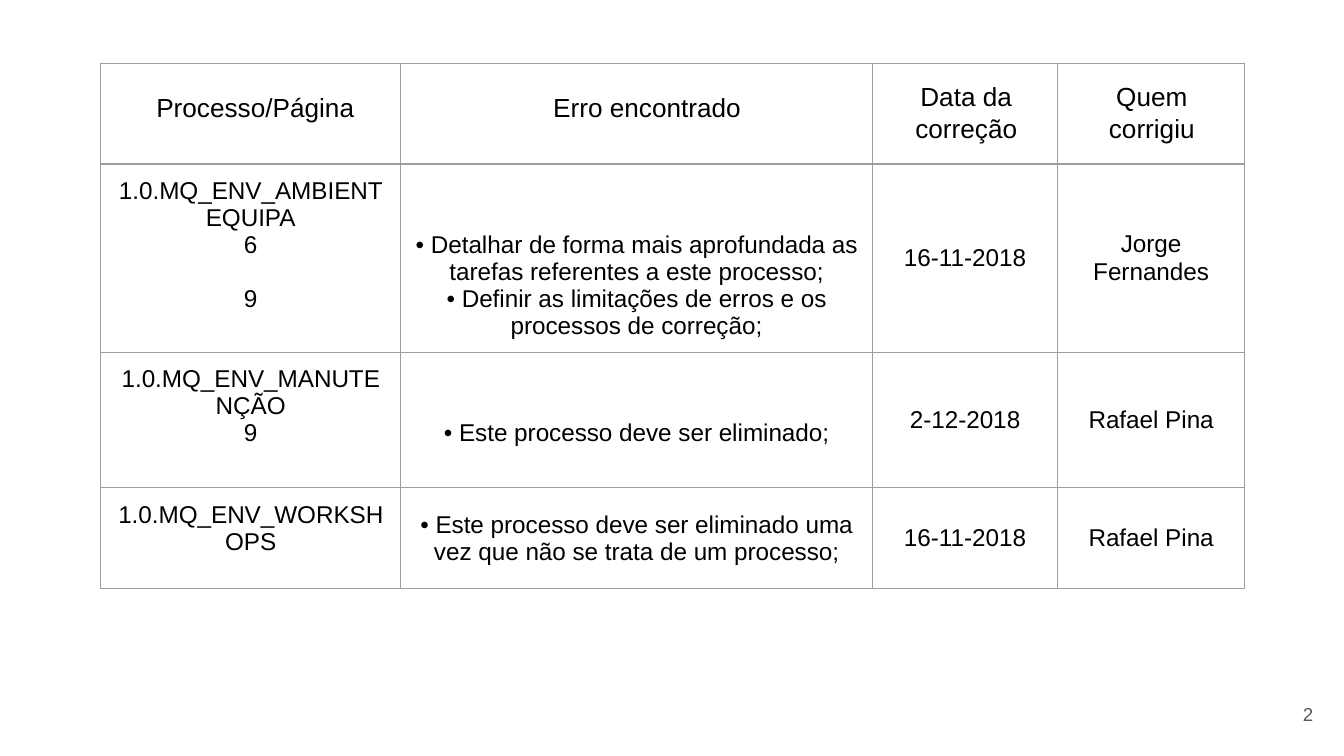
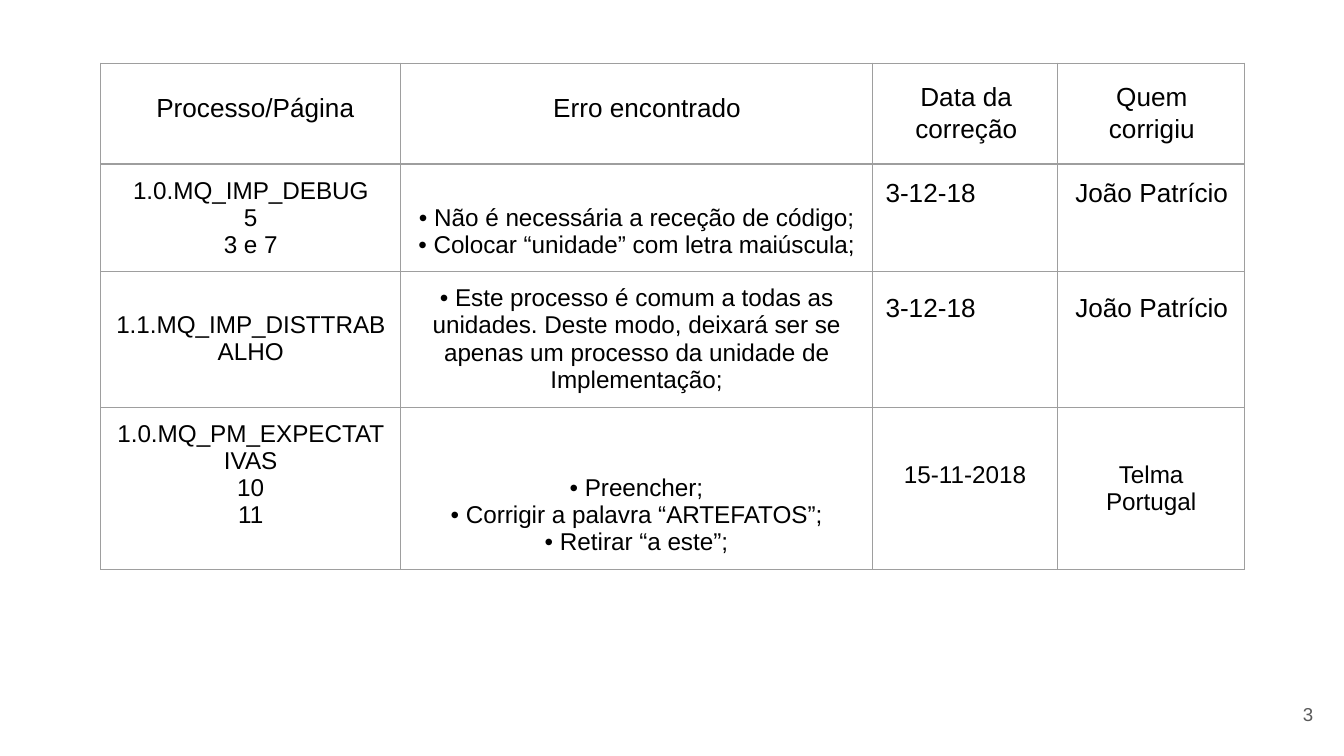
from dataclasses import dataclass

from lxml import etree
from pptx import Presentation
from pptx.dml.color import RGBColor
from pptx.enum.text import MSO_ANCHOR, PP_ALIGN
from pptx.oxml.ns import qn
from pptx.util import Inches, Pt

LEFT, CENTER, RIGHT = PP_ALIGN.LEFT, PP_ALIGN.CENTER, PP_ALIGN.RIGHT
TOP, MIDDLE = MSO_ANCHOR.TOP, MSO_ANCHOR.MIDDLE

BLACK = RGBColor(0x00, 0x00, 0x00)
GREY = RGBColor(0x59, 0x59, 0x59)
BORDER = RGBColor(0x9E, 0x9E, 0x9E)
FONT = "Arial"
INSET = 0.1
TIGHT = 0.03  # bottom inset of top-anchored cells, keeps rows from growing
LINE = 0.2  # height of one line of table text

TABLE_X, TABLE_Y = 0.75, 0.47
COLS = (2.23, 3.51, 1.38, 1.39)
HEADER_H = 0.75


@dataclass(frozen=True)
class Label:
    text: str
    x: float
    y: float
    w: float
    h: float
    size: int = 14
    align: PP_ALIGN = CENTER
    color: RGBColor = BLACK
    anchor: MSO_ANCHOR = TOP


@dataclass(frozen=True)
class Entry:
    """Cell text; lead, tail and gap are counted in lines."""
    lines: tuple[str, ...]
    anchor: MSO_ANCHOR = MIDDLE
    lead: int = 0
    tail: int = 0
    gap: int = 0  # space before the last paragraph


@dataclass(frozen=True)
class Row:
    height: float
    entries: tuple[Entry, ...]


HEADERS = (
    Label("Processo/Página", 0.96, 0.58, 1.88, 0.66),
    Label("Quem corrigiu", 7.93, 0.5, 1.28, 0.66),
    Label("Data da correção", 6.56, 0.5, 1.26, 0.66),
    Label("Erro encontrado", 3.57, 0.58, 2.49, 0.66),
)

ENV_ROWS = (
    Row(1.4, (
        Entry(("1.0.MQ_ENV_AMBIENTEQUIPA", "6", "9"), TOP, gap=1),
        Entry(("• Detalhar de forma mais aprofundada as tarefas referentes a este processo;",
               "• Definir as limitações de erros e os processos de correção;"), TOP, lead=2),
        Entry(("16-11-2018",)),
        Entry(("Jorge Fernandes",)),
    )),
    Row(1.01, (
        Entry(("1.0.MQ_ENV_MANUTENÇÃO", "9"), TOP),
        Entry(("• Este processo deve ser eliminado;",), TOP, lead=2),
        Entry(("2-12-2018",)),
        Entry(("Rafael Pina",)),
    )),
    Row(0.75, (
        Entry(("1.0.MQ_ENV_WORKSHOPS",), TOP),
        Entry(("• Este processo deve ser eliminado uma vez que não se trata de um processo;",)),
        Entry(("16-11-2018",)),
        Entry(("Rafael Pina",)),
    )),
)

IMP_ROWS = (
    Row(0.8, (
        Entry(("1.0.MQ_IMP_DEBUG", "5", "3 e 7"), TOP),
        Entry(("• Não é necessária a receção de código;",
               "• Colocar “unidade” com letra maiúscula;"), TOP, lead=1),
    )),
    Row(1.01, (
        Entry(("1.1.MQ_IMP_DISTTRABALHO",), TOP, lead=1),
        Entry(("• Este processo é comum a todas as unidades. Deste modo, deixará ser se "
               "apenas um processo da unidade de Implementação;",), TOP),
    )),
    Row(1.21, (
        Entry(("1.0.MQ_PM_EXPECTATIVAS", "10", "11"), TOP),
        Entry(("• Preencher;", "• Corrigir a palavra “ARTEFATOS”;", "• Retirar “a este”;"),
              TOP, lead=2),
        Entry(("15-11-2018",), tail=1),
        Entry(("Telma Portugal",)),
    )),
)

# Dates and names placed over the first two rows
IMP_LABELS = tuple(
    Label(text, x, y, 1.38, 0.86, align=align)
    for y in (1.21, 2.07)
    for text, x, align in (("3-12-18", 6.49, LEFT), ("João Patrício", 7.88, CENTER))
)


def style_paragraph(p, text: str, size: int, align: PP_ALIGN, color: RGBColor) -> None:
    p.text = text
    p.alignment = align
    p.font.name = FONT
    p.font.size = Pt(size)
    p.font.color.rgb = color


def add_label(s, label: Label) -> None:
    box = s.shapes.add_textbox(Inches(label.x), Inches(label.y),
                               Inches(label.w), Inches(label.h))
    tf = box.text_frame
    tf.word_wrap = True
    tf.vertical_anchor = label.anchor
    tf.margin_left = tf.margin_right = tf.margin_top = tf.margin_bottom = Inches(INSET)
    style_paragraph(tf.paragraphs[0], label.text, label.size, label.align, label.color)


def frame_cell(cell) -> None:
    """Clear the fill and draw a thin border on all four sides."""
    cell.fill.background()
    tc_pr = cell._tc.get_or_add_tcPr()
    for i, side in enumerate(("a:lnL", "a:lnR", "a:lnT", "a:lnB")):
        ln = etree.Element(qn(side), w=str(Pt(0.75)))
        fill = etree.SubElement(ln, qn("a:solidFill"))
        etree.SubElement(fill, qn("a:srgbClr"), val=str(BORDER))
        tc_pr.insert(i, ln)


def fill_cell(cell, entry: Entry) -> None:
    bottom = TIGHT if entry.anchor == TOP else INSET
    cell.vertical_anchor = entry.anchor
    cell.margin_left = cell.margin_right = Inches(INSET)
    cell.margin_top = Inches(INSET + entry.lead * LINE)
    cell.margin_bottom = Inches(bottom + entry.tail * LINE)
    tf = cell.text_frame
    for i, line in enumerate(entry.lines):
        p = tf.add_paragraph() if i else tf.paragraphs[0]
        style_paragraph(p, line, 13, CENTER, BLACK)
    if entry.gap:
        tf.paragraphs[-1].space_before = Inches(entry.gap * LINE)


def add_error_table(s, rows: tuple[Row, ...]) -> None:
    heights = (HEADER_H, *(row.height for row in rows))
    table = s.shapes.add_table(len(heights), len(COLS), Inches(TABLE_X), Inches(TABLE_Y),
                               Inches(sum(COLS)), Inches(sum(heights))).table
    table.first_row = table.horz_banding = False
    for column, width in zip(table.columns, COLS):
        column.width = Inches(width)
    for table_row, height in zip(table.rows, heights):
        table_row.height = Inches(height)
    for cell in table.iter_cells():
        frame_cell(cell)
    for r, row in enumerate(rows, start=1):
        for c, entry in enumerate(row.entries):
            fill_cell(table.cell(r, c), entry)


def add_error_slide(prs, number: int, rows: tuple[Row, ...],
                    labels: tuple[Label, ...] = ()) -> None:
    s = prs.slides.add_slide(prs.slide_layouts[6])
    for header in HEADERS:
        add_label(s, header)
    add_error_table(s, rows)
    for label in labels:
        add_label(s, label)
    # Page number
    add_label(s, Label(str(number), 9.27, 5.1, 0.6, 0.43, 10, RIGHT, GREY, MIDDLE))


def main() -> None:
    prs = Presentation()
    prs.slide_width = Inches(10)
    prs.slide_height = Inches(10 * 9 / 16)
    add_error_slide(prs, 2, ENV_ROWS)
    add_error_slide(prs, 3, IMP_ROWS, IMP_LABELS)
    prs.save("out.pptx")


if __name__ == "__main__":
    main()
